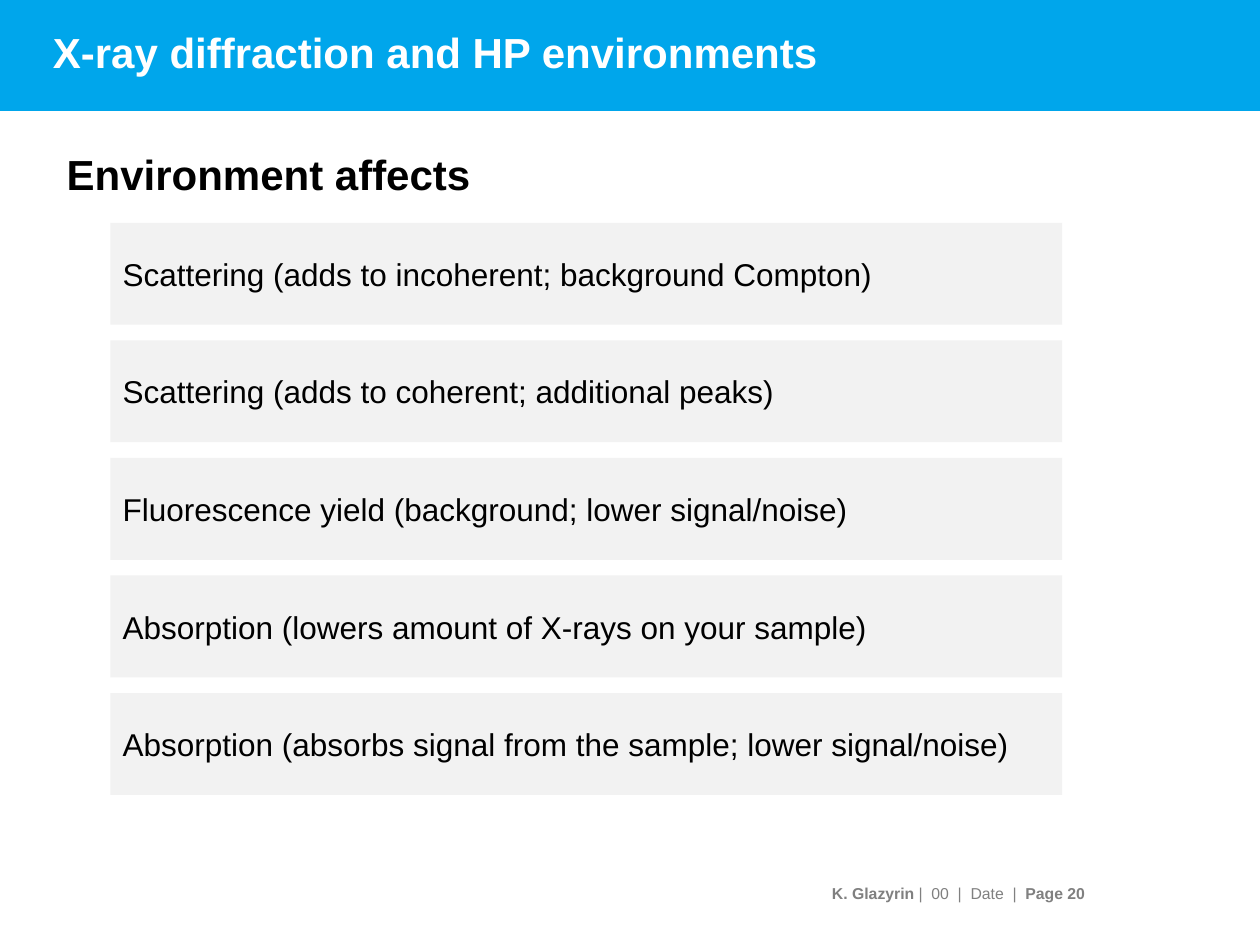
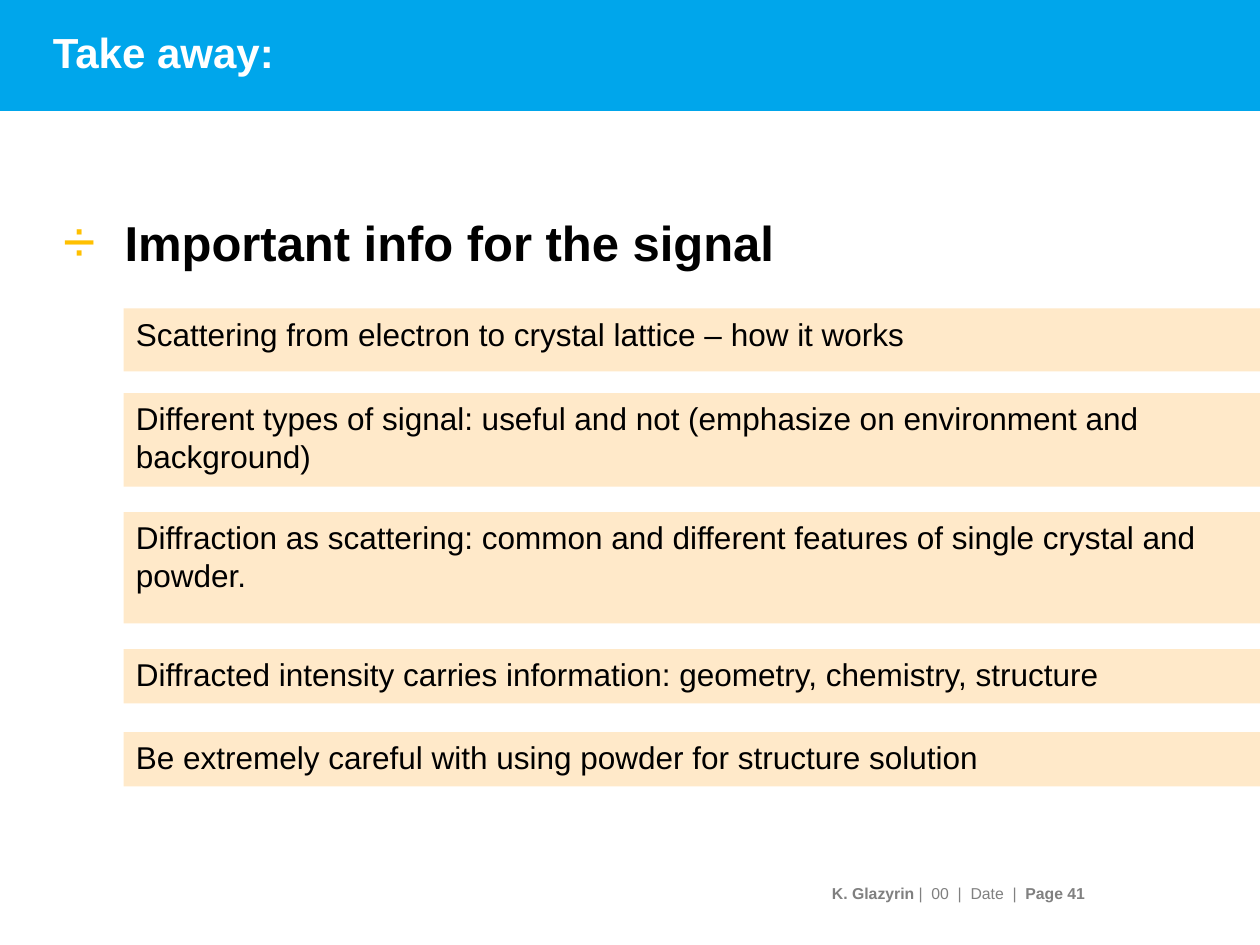
from lxml import etree
from pptx import Presentation
from pptx.dml.color import RGBColor
from pptx.enum.shapes import MSO_SHAPE
from pptx.enum.text import MSO_ANCHOR, MSO_AUTO_SIZE, PP_ALIGN
from pptx.oxml.ns import qn
from pptx.util import Pt

RECTANGLE = MSO_SHAPE.RECTANGLE
TOP, MIDDLE = MSO_ANCHOR.TOP, MSO_ANCHOR.MIDDLE
LEFT, RIGHT = PP_ALIGN.LEFT, PP_ALIGN.RIGHT
NO_AUTOFIT = MSO_AUTO_SIZE.NONE

BLUE, WHITE, BLACK = "00A6EB", "FFFFFF", "000000"
GREY, LIGHT_GREY = "808080", "F2F2F2"
AMBER, CREAM = "FFC000", "FFE9C9"
SLIDE_WIDTH, SLIDE_HEIGHT = 720, 540


def write(shape, text, size, color=BLACK, bold=False, anchor=MIDDLE, align=LEFT):
    """Fill a shape's text frame; text is a string or a list of (text, bold) runs."""
    frame = shape.text_frame
    frame.word_wrap = True
    frame.auto_size = NO_AUTOFIT
    frame.vertical_anchor = anchor
    paragraph = frame.paragraphs[0]
    if isinstance(text, str):
        paragraph.text = text
        paragraph.font.bold = bold
    else:
        for run_text, run_bold in text:
            run = paragraph.add_run()
            run.text = run_text
            run.font.bold = run_bold
    paragraph.alignment = align
    paragraph.space_before = Pt(0)
    paragraph.font.name = "Arial"
    paragraph.font.size = Pt(size)
    paragraph.font.color.rgb = RGBColor.from_string(color)
    return paragraph


def add_box(slide, left, top, width, height, fill):
    """Add a plain filled rectangle."""
    shape = slide.shapes.add_shape(RECTANGLE, Pt(left), Pt(top), Pt(width), Pt(height))
    shape.shadow.inherit = False
    shape.fill.solid()
    shape.fill.fore_color.rgb = RGBColor.from_string(fill)
    shape.line.fill.background()
    return shape


presentation = Presentation()
presentation.slide_width = Pt(SLIDE_WIDTH)
presentation.slide_height = Pt(SLIDE_HEIGHT)
title_only = presentation.slide_layouts.get_by_name("Title Only")
title_and_content = presentation.slide_layouts.get_by_name("Title and Content")
environment_slide = presentation.slides.add_slide(title_only)
summary_slide = presentation.slides.add_slide(title_and_content)

# Shared band, title and footer
for slide, title_text, page in (
    (environment_slide, "X-ray diffraction and HP environments", 20),
    (summary_slide, "Take away:", 41),
):
    band = add_box(slide, 0, 0, SLIDE_WIDTH, 63.4, BLUE)
    slide.shapes._spTree.insert(2, band._element)  # behind the title

    title = slide.shapes.title
    title.left, title.top, title.width, title.height = Pt(23), Pt(8), Pt(671), Pt(43)
    write(title, title_text, 24, WHITE, bold=True)

    footer = slide.shapes.add_textbox(Pt(22.3), Pt(494.6), Pt(597.7), Pt(31.7))
    footer.text_frame.margin_right = Pt(0)
    footer_runs = [("K. Glazyrin ", True), ("|  00  |  Date  |  ", False),
                   (f"Page {page}", True)]
    write(footer, footer_runs, 9, GREY, align=RIGHT)

# Slide 1: effects of the environment
heading = environment_slide.shapes.add_textbox(Pt(31), Pt(78), Pt(671), Pt(43))
write(heading, "Environment affects", 24, bold=True)

effects = [
    "Scattering (adds to incoherent; background Compton)",
    "Scattering (adds to coherent; additional peaks)",
    "Fluorescence yield (background; lower signal/noise)",
    "Absorption (lowers amount of X-rays on your sample)",
    "Absorption (absorbs signal from the sample; lower signal/noise)",
]
for index, effect in enumerate(effects):
    box = add_box(environment_slide, 63, 127.4 + index * 67.15, 544, 58.2, LIGHT_GREY)
    write(box, effect, 18)

# Slide 2: bulleted heading
body = summary_slide.placeholders[1]
body.left, body.top, body.width, body.height = Pt(29), Pt(101), Pt(608), Pt(328)
body.text_frame.text = ""
properties = body.text_frame.paragraphs[0]._p.get_or_add_pPr()
properties.set("marL", str(Pt(35)))
properties.set("indent", str(-Pt(35)))
bullet_color = etree.SubElement(properties, qn("a:buClr"))
etree.SubElement(bullet_color, qn("a:srgbClr"), val=AMBER)
etree.SubElement(properties, qn("a:buSzPct"), val="120000")
etree.SubElement(properties, qn("a:buFont"), typeface="Arial")
etree.SubElement(properties, qn("a:buChar"), char="÷")
paragraph = write(body, "Important info for the signal", 28, bold=True, anchor=TOP)
paragraph.line_spacing = 1.5

# Slide 2: messages as (top, height, text)
messages = [
    (176.2, 36, "Scattering from electron to crystal lattice – how it works"),
    (224.6, 53.5, "Different types of signal: useful and not "
                  "(emphasize on environment and background)"),
    (292.7, 63.5, "Diffraction as scattering: common and different features "
                  "of single crystal and powder."),
    (371, 31, "Diffracted intensity carries information: geometry, chemistry, structure"),
    (418.4, 31, "Be extremely careful with using powder for structure solution"),
]
for top, height, message in messages:
    box = add_box(summary_slide, 70.6, top, SLIDE_WIDTH - 70.6, height, CREAM)
    write(box, message, 18, anchor=TOP)

presentation.save("out.pptx")
